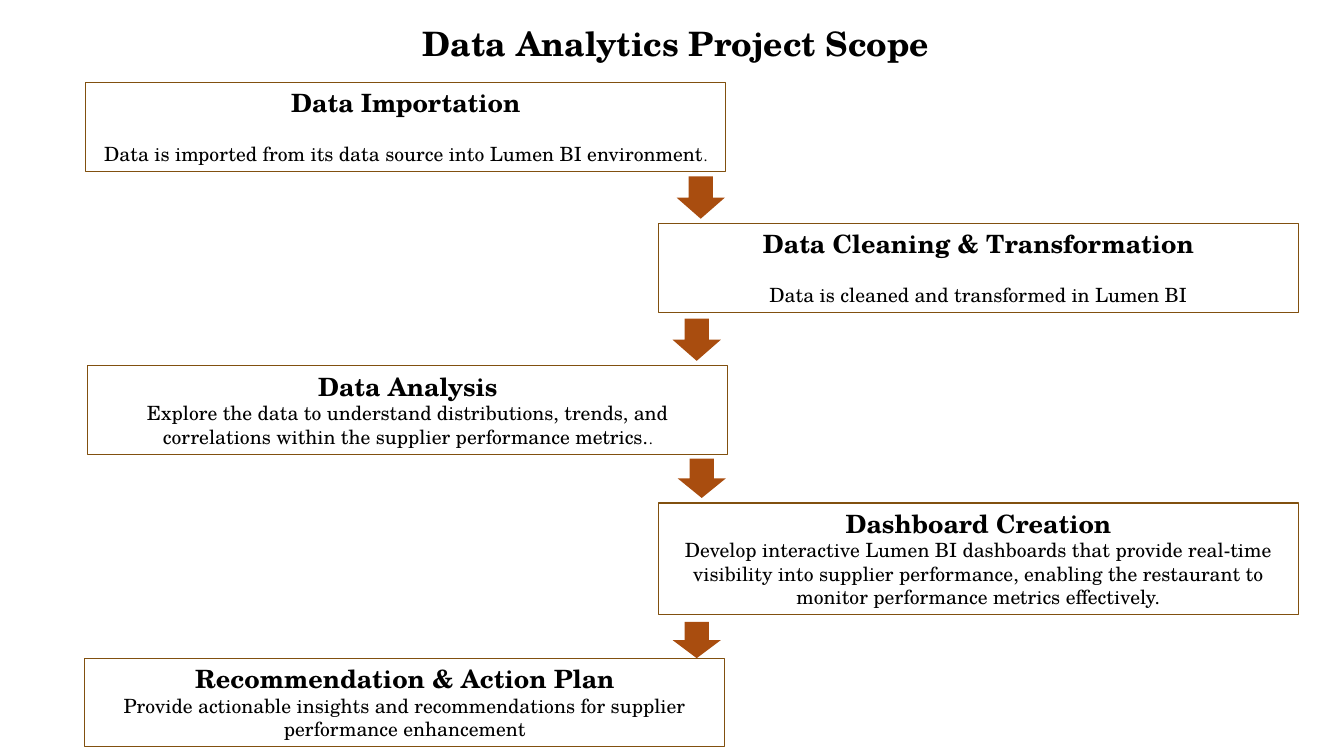
import pptx
import pptx.dml.color
import pptx.enum.shapes
import pptx.enum.text
import pptx.util
from pptx.util import Inches

FONT = "TeX Gyre Schola"
SHAPES = pptx.enum.shapes.MSO_SHAPE
BOX_WIDTH = 6.35
ARROW_WIDTH = 0.48

STAGES = [
    (0.85, 0.82, 0.88, 17, "Data Importation",
     "Data is imported from its data source into Lumen BI environment", "."),
    (6.53, 2.22, 0.88, 17, "Data Cleaning & Transformation",
     "Data is cleaned and transformed in Lumen BI", ""),
    (0.87, 3.63, 0.88, 0, "Data Analysis",
     "Explore the data to understand distributions, trends, and correlations "
     "within the supplier performance metrics.", "."),
    (6.53, 4.99, 1.11, 0, "Dashboard Creation",
     "Develop interactive Lumen BI dashboards that provide real-time visibility "
     "into supplier performance, enabling the restaurant to monitor performance "
     "metrics effectively.", ""),
    (0.84, 6.53, 0.88, 0, "Recommendation & Action Plan",
     "Provide actionable insights and recommendations for supplier "
     "performance enhancement", ""),
]
ARROWS = [(6.71, 1.75, 0.42), (6.67, 3.16, 0.42), (6.72, 4.55, 0.39), (6.67, 6.17, 0.36)]


def color(value):
    return pptx.dml.color.RGBColor.from_string(value)


def add_run(p, text, size, bold=False):
    r = p.add_run()
    r.text = text
    formats = {"name": FONT, "size": pptx.util.Pt(size), "bold": bold}
    for key, value in formats.items():
        setattr(r.font, key, value)
    r.font.color.rgb = color("000000")


def format_frame(tf):
    formats = {
        "word_wrap": True,
        "auto_size": pptx.enum.text.MSO_AUTO_SIZE.SHAPE_TO_FIT_TEXT,
        "vertical_anchor": pptx.enum.text.MSO_ANCHOR.TOP,
    }
    for key, value in formats.items():
        setattr(tf, key, value)


def center(p):
    p.alignment = pptx.enum.text.PP_ALIGN.CENTER
    return p


def add_title(s, text):
    tf = s.shapes.add_textbox(Inches(3.53), Inches(0.18), Inches(BOX_WIDTH), Inches(0.5)).text_frame
    format_frame(tf)
    add_run(center(tf.paragraphs[0]), text, 24, True)


def add_stage(s, left, top, height, gap, heading, body, ending):
    sp = s.shapes.add_shape(SHAPES.RECTANGLE, Inches(left), Inches(top),
                            Inches(BOX_WIDTH), Inches(height))
    sp.shadow.inherit = False
    sp.fill.background()
    sp.line.color.rgb = color("81500F")
    sp.line.width = pptx.util.Pt(0.75)
    tf = sp.text_frame
    format_frame(tf)
    add_run(center(tf.paragraphs[0]), heading, 18, True)
    p = center(tf.add_paragraph())
    p.space_before = pptx.util.Pt(gap)
    add_run(p, body, 14)
    if ending:
        add_run(p, ending, 10.5)


def add_arrow(s, left, top, height):
    sp = s.shapes.add_shape(SHAPES.DOWN_ARROW, Inches(left), Inches(top),
                            Inches(ARROW_WIDTH), Inches(height))
    sp.shadow.inherit = False
    sp.fill.solid()
    sp.fill.fore_color.rgb = color("A94D0F")
    sp.line.fill.background()


def main():
    prs = pptx.Presentation()
    prs.slide_width = Inches(13.33)
    prs.slide_height = Inches(7.5)
    s = prs.slides.add_slide(prs.slide_layouts[6])
    add_title(s, "Data Analytics Project Scope")
    for stage in STAGES:
        add_stage(s, *stage)
    for arrow in ARROWS:
        add_arrow(s, *arrow)
    prs.save("out.pptx")


if __name__ == "__main__":
    main()
